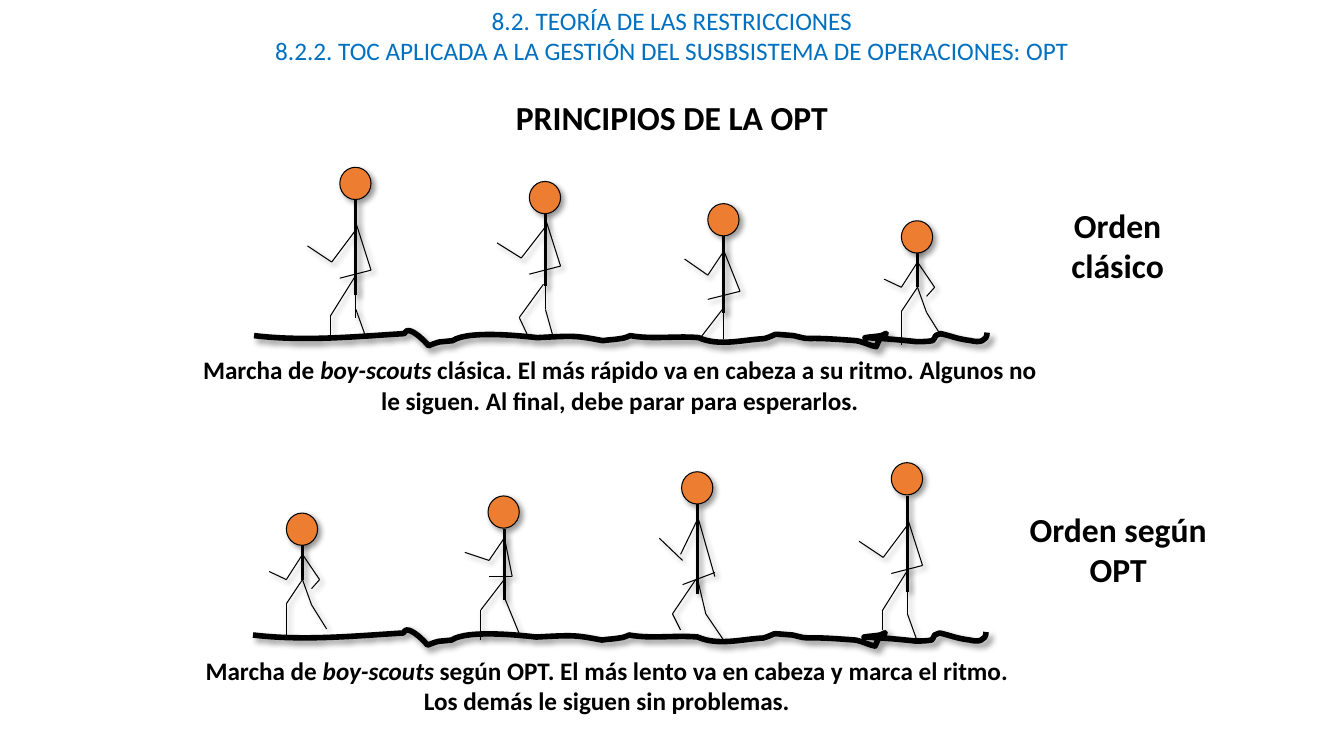
from lxml.etree import SubElement
from pptx import Presentation
from pptx.dml.color import RGBColor
from pptx.enum.shapes import MSO_CONNECTOR, MSO_SHAPE
from pptx.enum.text import PP_ALIGN
from pptx.oxml.ns import qn
from pptx.util import Inches, Pt

COLORS = {"ink": "000000", "heading": "0070C0", "head": "ED7D31"}
CELL = Inches(0.01)
COLUMNS, ROWS = 1333, 750
HEAD_WIDTH, HEAD_HEIGHT = 31, 32

TRAIL_CURVES = [
    (50, 6, 100, 1, 149, -2), (150, -3, 151, -5, 152, -5), (158, -6, 170, 6, 173, 10),
    (187, 5, 179, 7, 197, 5), (213, -6, 271, 1, 281, 2), (319, 0, 319, 0, 346, 5),
    (352, 4, 358, 4, 363, 3), (367, 3, 373, 0, 373, 0), (395, 4, 419, 0, 441, 2),
    (461, 11, 485, 4, 506, 3), (523, -2, 508, -2, 535, 0), (560, 6, 533, 0, 597, 5),
    (600, 5, 610, 9, 613, 10), (614, 10, 617, 11, 617, 11), (619, 7, 619, 5, 622, 2),
    (624, 0, 627, 0, 627, -2), (627, -3, 624, 0, 622, 0), (617, 1, 612, 1, 606, 2),
    (628, 3, 638, 4, 657, 6), (662, 6, 668, 6, 673, 5), (675, 4, 675, 1, 676, 0),
    (678, -1, 679, -1, 681, -2), (694, 1, 696, 3, 711, 5), (719, 7, 727, 6, 727, -3),
]

SMALLEST = ((9, 50), [
    [(-33, 42), (-16, 50), (0, 25), (17, 50), (9, 59)],
    [(0, 50), (-16, 74), (-16, 107)],
    [(0, 50), (9, 75), (24, 99)],
])
TALLEST_LIMBS = [
    [(-48, 62), (-24, 78), (0, 46)],
    [(0, 39), (15, 86), (-16, 94)],
    [(0, 91), (-25, 131), (-25, 150)],
]
TALLEST_LEADING = ((16, 111), TALLEST_LIMBS + [[(0, 100), (0, 133)], [(0, 125), (9, 150)]])
TALLEST_CLOSING = ((17, 112), TALLEST_LIMBS + [[(0, 100), (0, 134), (9, 159)]])
SECOND_CLASSIC = ((13, 88), [
    [(-48, 45), (-24, 60), (0, 29)],
    [(0, 21), (15, 68), (-16, 76)],
    [(-2, 86), (-26, 119), (-18, 136)],
    [(0, 86), (0, 111), (7, 136)],
])
THIRD_CLASSIC = ((15, 93), [
    [(-39, 39), (-16, 55), (0, 31), (16, 71), (-16, 79)],
    [(0, 87), (-24, 118)],
    [(0, 87), (0, 118)],
])
SECOND_OPT = ((17, 87), [
    [(-39, 40), (-15, 48), (0, 26)],
    [(0, 24), (8, 64), (-15, 64)],
    [(0, 67), (-23, 97), (-23, 127)],
    [(0, 84), (16, 123)],
])
THIRD_OPT = ((16, 105), [
    [(-38, 50), (-15, 72)],
    [(-17, 66), (-1, 33)],
    [(1, 32), (17, 88)],
    [(17, 84), (-15, 96)],
    [(-2, 91), (-25, 125), (-17, 141)],
    [(0, 91), (8, 125), (25, 150)],
])

MARCHES = [
    {
        "trail": (252, 333),
        "scouts": [(353, 182, TALLEST_LEADING), (541, 196, SECOND_CLASSIC),
                   (718, 218, THIRD_CLASSIC), (910, 235, SMALLEST)],
        "caption": (182, 347, 866, 70),
        "ending": " clásica. El más rápido va en cabeza a su ritmo. "
                  "Algunos no le siguen. Al final, debe parar para esperarlos.",
        "order": ("Orden clásico", (1025, 198, 167, 91)),
    },
    {
        "trail": (251, 630),
        "scouts": [(300, 525, SMALLEST), (500, 508, SECOND_OPT),
                   (692, 484, THIRD_OPT), (900, 475, TALLEST_CLOSING)],
        "caption": (182, 645, 840, 70),
        "ending": " según OPT. El más lento va en cabeza y marca el ritmo. "
                  "Los demás le siguen sin problemas.",
        "order": ("Orden según OPT", (1008, 500, 202, 91)),
    },
]


def rgb(name):
    return RGBColor.from_string(COLORS[name])


def cells(*counts):
    return [int(round(count * CELL)) for count in counts]


def add_shadow(element):
    effects = SubElement(element.spPr, qn("a:effectLst"))
    shadow = SubElement(effects, qn("a:outerShdw"), blurRad="50800", dist="38100",
                        dir="2700000", algn="tl", rotWithShape="0")
    tint = SubElement(shadow, qn("a:srgbClr"), val=COLORS["ink"])
    SubElement(tint, qn("a:alpha"), val="40000")


def ink_outline(item, weight):
    item.line.color.rgb = rgb("ink")
    item.line.width = Pt(weight)
    add_shadow(item._element)


def write(slide, text, area, size=18, color="ink", bold=True):
    frame = slide.shapes.add_textbox(*cells(*area)).text_frame
    frame.word_wrap = True
    paragraph = frame.paragraphs[0]
    paragraph.alignment = PP_ALIGN.CENTER
    pieces = [(text, False)] if isinstance(text, str) else text
    for words, italic in pieces:
        run = paragraph.add_run()
        run.text = words
        run.font.name = "Calibri"
        run.font.size = Pt(size)
        run.font.bold = bold
        run.font.italic = italic
        run.font.color.rgb = rgb(color)


def draw_limb(slide, x, y, joints, weight=0.75):
    for (x1, y1), (x2, y2) in zip(joints, joints[1:]):
        bone = slide.shapes.add_connector(
            MSO_CONNECTOR.STRAIGHT, *cells(x + x1, y + y1, x + x2, y + y2))
        ink_outline(bone, weight)


def draw_scout(slide, x, y, pose):
    (neck, hip), limbs = pose
    for joints in limbs:
        draw_limb(slide, x, y, joints)
    draw_limb(slide, x, y, [(0, neck), (0, hip)], weight=2.25)
    head = slide.shapes.add_shape(MSO_SHAPE.OVAL, *cells(
        x - 16, y - HEAD_HEIGHT / 2, HEAD_WIDTH, HEAD_HEIGHT))
    head.fill.solid()
    head.fill.fore_color.rgb = rgb("head")
    ink_outline(head, 0.75)


def bend_segments(element):
    segments = list(element.iter(qn("a:lnTo")))
    for first, second, third in zip(segments[::3], segments[1::3], segments[2::3]):
        curve = SubElement(first.getparent(), qn("a:cubicBezTo"))
        for segment in (first, second, third):
            curve.append(segment[0])
            segment.getparent().remove(segment)


def draw_trail(slide, x, y):
    builder = slide.shapes.build_freeform(*cells(x, y))
    builder.add_line_segments(
        [cells(x + curve[i], y + curve[i + 1]) for curve in TRAIL_CURVES for i in (0, 2, 4)],
        close=False)
    trail = builder.convert_to_shape()
    bend_segments(trail._element)
    trail.fill.background()
    ink_outline(trail, 4)


def draw_march(slide, march):
    draw_trail(slide, *march["trail"])
    for x, y, pose in march["scouts"]:
        draw_scout(slide, x, y, pose)
    caption = [("Marcha de ", False), ("boy-scouts", True), (march["ending"], False)]
    write(slide, caption, march["caption"])
    order, area = march["order"]
    write(slide, order, area, size=24)


def main():
    deck = Presentation()
    deck.slide_width, deck.slide_height = cells(COLUMNS, ROWS)
    slide = deck.slides.add_slide(deck.slide_layouts[6])
    headings = ["8.2. TEORÍA DE LAS RESTRICCIONES",
                "8.2.2. TOC APLICADA A LA GESTIÓN DEL SUSBSISTEMA DE OPERACIONES: OPT"]
    for level, heading in enumerate(headings):
        write(slide, heading, (0, 30 * level, COLUMNS, 40), color="heading", bold=False)
    write(slide, "PRINCIPIOS DE LA OPT", (0, 91, COLUMNS, 50), size=24)
    for march in MARCHES:
        draw_march(slide, march)
    deck.save("out.pptx")


if __name__ == "__main__":
    main()
